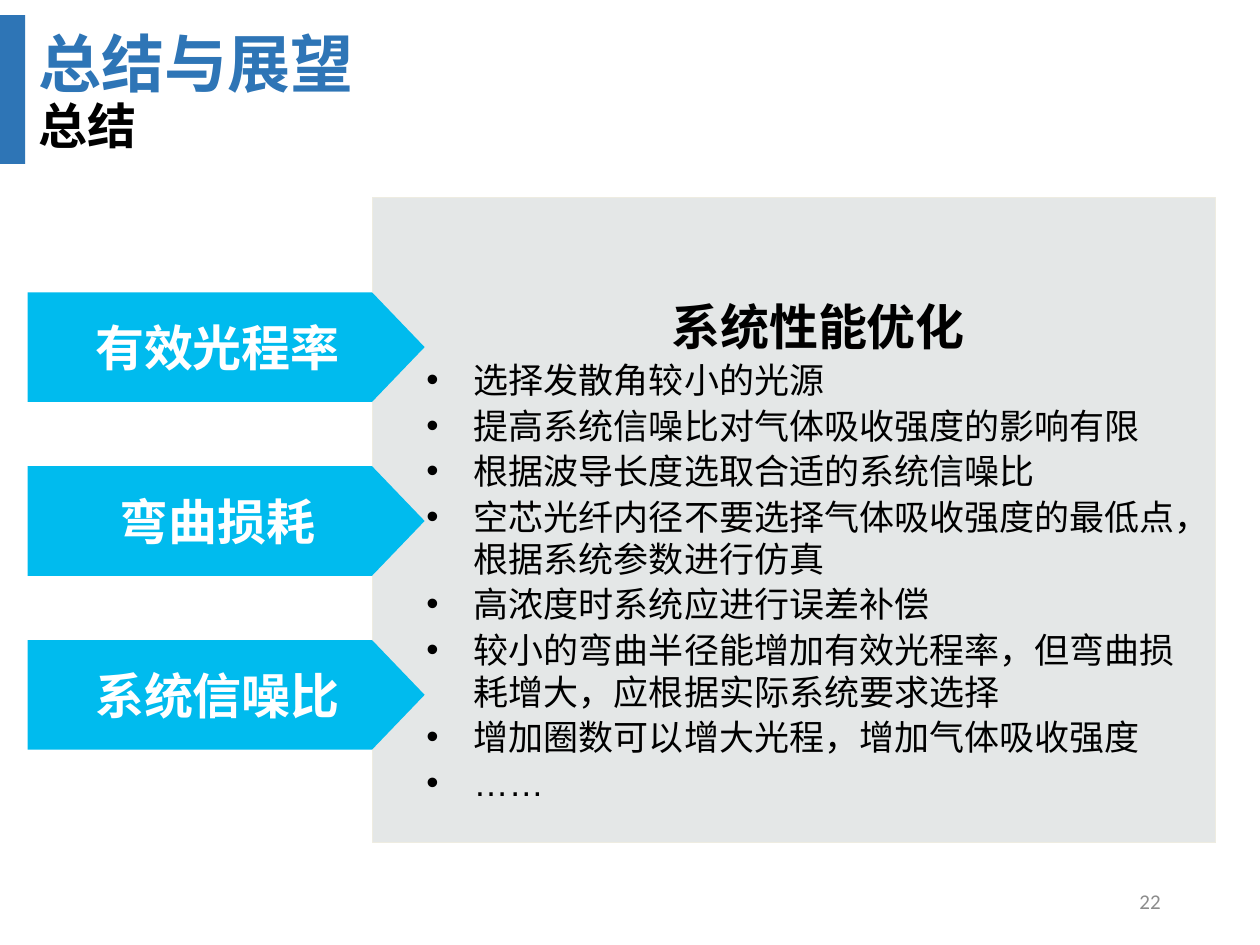
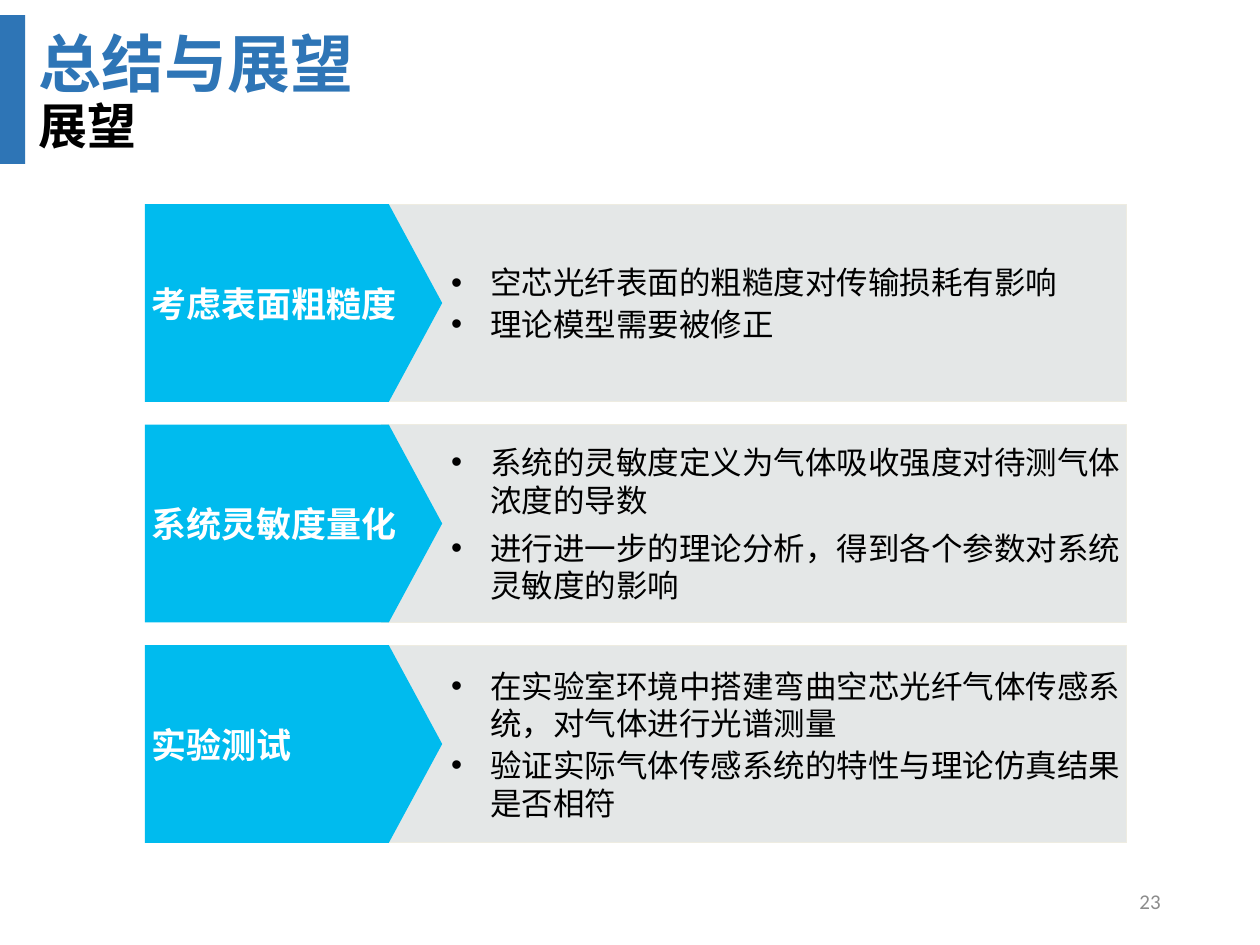
from dataclasses import dataclass
from lxml.etree import SubElement as Sub
from pptx import Presentation
from pptx.dml.color import RGBColor as Rgb
from pptx.enum.shapes import MSO_SHAPE as Kind
from pptx.enum.text import MSO_ANCHOR as Anchor, PP_ALIGN as Align
from pptx.oxml.ns import qn
from pptx.util import Inches, Pt


@dataclass(frozen=True)
class Theme:
    blue: str = "2E75B6"
    cyan: str = "00BBEE"
    pale: str = "E4E7E7"
    edge: str = "EEECE1"
    black: str = "000000"
    white: str = "FFFFFF"
    gray: str = "8C8C8C"
    font: str = "Arial"
    plain: str = "Calibri"
    title: int = 36
    head: int = 28
    body: int = 20
    small: int = 18
    foot: int = 12


look = Theme()
deck = Presentation()
deck.slide_width, deck.slide_height = Inches(10), Inches(7.5)
col, row = deck.slide_width / 100, deck.slide_height / 75


def draw(page, area, kind=None, fill=None, edge=None, pad=None):
    x, y, w, h = area
    place = [int(n) for n in (x * col, y * row, w * col, h * row)]
    if kind is None:
        shape = page.shapes.add_textbox(*place)
    else:
        shape = page.shapes.add_shape(kind, *place)
        shape.shadow.inherit = False
        shape.fill.solid()
        shape.fill.fore_color.rgb = Rgb.from_string(fill)
        if edge:
            shape.line.color.rgb = Rgb.from_string(edge)
            shape.line.width = Pt(0.5)
        else:
            shape.line.fill.background()
    frame = shape.text_frame
    frame.word_wrap = True
    frame.vertical_anchor = Anchor.MIDDLE
    if pad:
        frame.margin_left = int(pad * col)
        frame.margin_right = frame.margin_top = frame.margin_bottom = int(0.5 * col)
    return shape


def write(shape, text, size, color, bold=False, align=Align.LEFT,
          font=look.font, indent=None, gap=(0, 0)):
    frame = shape.text_frame
    para = frame.paragraphs[0]
    if para.runs:
        para = frame.add_paragraph()
    para.text = text
    para.alignment = align
    para.space_before, para.space_after = Pt(gap[0]), Pt(gap[1])
    para.font.size, para.font.bold, para.font.name = Pt(size), bold, font
    para.font.color.rgb = Rgb.from_string(color)
    if indent:
        left, hang = indent
        prop = para._p.get_or_add_pPr()
        prop.set("marL", str(int(left * col)))
        prop.set("indent", str(int(-hang * col)))
        if hang:
            Sub(prop, qn("a:buFont"), typeface=look.font)
            Sub(prop, qn("a:buChar"), char="•")
    return para


pages = []
for num, name in ((22, "总结"), (23, "展望")):
    page = deck.slides.add_slide(deck.slide_layouts[6])
    pages.append(page)
    write(draw(page, (70.6, 69.5, 22.5, 4)), str(num), look.foot, look.gray,
          align=Align.RIGHT, font=look.plain)
    write(draw(page, (2.1, 1.4, 79.9, 7.1)), "总结与展望", look.title, look.blue, True)
    write(draw(page, (2.1, 7.1, 71.4, 5.7)), name, look.head, look.black, True)
    draw(page, (0, 1.2, 2, 11.8), Kind.RECTANGLE, look.blue)

first, second = pages

panel = draw(first, (29.6, 15.7, 66.9, 51.2), Kind.RECTANGLE, look.pale, look.edge, 0.5)
head = write(panel, "系统性能优化", look.head, look.black, True, Align.CENTER,
             indent=(3.75, 0), gap=(1, 1))
head.line_spacing = 2.0
for point in (
    "选择发散角较小的光源",
    "提高系统信噪比对气体吸收强度的影响有限",
    "根据波导长度选取合适的系统信噪比",
    "空芯光纤内径不要选择气体吸收强度的最低点，根据系统参数进行仿真",
    "高浓度时系统应进行误差补偿",
    "较小的弯曲半径能增加有效光程率，但弯曲损耗增大，应根据实际系统要求选择",
    "增加圈数可以增大光程，增加气体吸收强度",
    "……",
):
    write(panel, point, look.body, look.black, indent=(7.5, 3.75), gap=(1, 1))

for i, label in enumerate(("有效光程率", "弯曲损耗", "系统信噪比")):
    arrow = draw(first, (2.2, 23.2 + 13.8 * i, 31.5, 8.7), Kind.PENTAGON, look.cyan, pad=1.2)
    arrow.adjustments[0] = 0.48
    arrow.text_frame.word_wrap = False
    write(arrow, label, look.head, look.white, True, Align.CENTER)

plans = (
    ("考虑表面粗糙度", (1, 1),
     ("空芯光纤表面的粗糙度对传输损耗有影响", "理论模型需要被修正")),
    ("系统灵敏度量化", (5.7, 0),
     ("系统的灵敏度定义为气体吸收强度对待测气体浓度的导数",
      "进行进一步的理论分析，得到各个参数对系统灵敏度的影响")),
    ("实验测试", (1, 1),
     ("在实验室环境中搭建弯曲空芯光纤气体传感系统，对气体进行光谱测量",
      "验证实际气体传感系统的特性与理论仿真结果是否相符")),
)
for i, (label, gap, points) in enumerate(plans):
    top = 16.2 + 17.5 * i
    panel = draw(second, (30.3, top, 59.1, 15.7), Kind.RECTANGLE, look.pale, look.edge, 0.5)
    for point in points:
        write(panel, point, look.small, look.black, indent=(8.1, 3.1), gap=gap)
    arrow = draw(second, (11.5, top, 23.6, 15.7), Kind.PENTAGON, look.cyan, pad=0.5)
    arrow.adjustments[0] = 0.27
    write(arrow, label, look.body, look.white, True)

deck.save("out.pptx")
